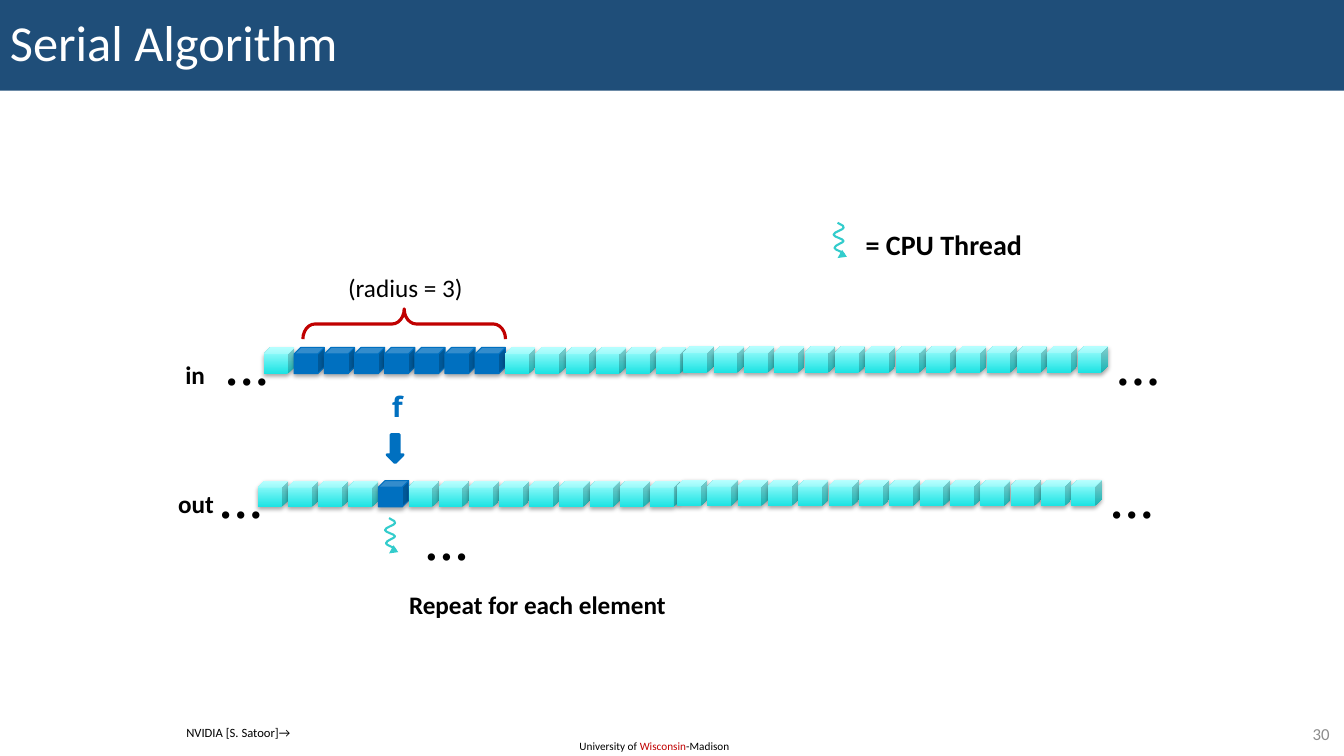
from lxml import etree
from pptx import Presentation
from pptx.dml.color import RGBColor
from pptx.enum import shapes, text
from pptx.oxml import ns
from pptx.util import Pt

NAVY = RGBColor(0x1F, 0x4E, 0x79)
BLUE = RGBColor(0x00, 0x70, 0xC0)
RED = RGBColor(0xC0, 0x00, 0x00)
TEAL = RGBColor(0x33, 0xCC, 0xCC)
CYAN = RGBColor(0x1C, 0xE3, 0xE3)
PALE_CYAN = RGBColor(0xA7, 0xFF, 0xFF)
GRAY = RGBColor(0x8C, 0x8C, 0x8C)
WHITE = RGBColor(0xFF, 0xFF, 0xFF)
BLACK = RGBColor(0x00, 0x00, 0x00)

CUBE_W, CUBE_H = 21.6, 18.7
HALF_ROW = 14

# Thread squiggle in tenths of a point: start, then three points per Bezier curve
SQUIGGLE_START = (29, 0)
SQUIGGLE_CURVES = [
    (65, 22), (79, 22), (72, 36),
    (72, 50), (0, 65), (0, 86),
    (0, 101), (72, 115), (72, 130),
    (72, 144), (7, 158), (7, 180),
    (7, 194), (72, 209), (72, 223),
    (79, 238), (58, 245), (29, 252),
]


class SlideBuilder:
    font = "Calibri"

    def __init__(self, slide):
        self.slide = slide

    def add_runs(self, frame, runs, size, font=None, bold=False, align=None):
        """Fill the frame's first paragraph with (wording, colour) runs."""
        paragraph = frame.paragraphs[0]
        paragraph.alignment = align
        for wording, color in runs:
            run = paragraph.add_run()
            run.text = wording
            run.font.name = font or self.font
            run.font.size = Pt(size)
            run.font.bold = bold
            run.font.color.rgb = color
        return paragraph

    def label(self, box, runs, size, wrap=True, grow=True, **style):
        frame = self.slide.shapes.add_textbox(*map(Pt, box)).text_frame
        frame.word_wrap = wrap
        if grow:
            frame.auto_size = text.MSO_AUTO_SIZE.SHAPE_TO_FIT_TEXT
        else:
            frame.vertical_anchor = text.MSO_ANCHOR.MIDDLE
        self.add_runs(frame, runs, size, **style)

    def ellipsis(self, left, top):
        self.label((left, top, 43.2, 46), [("…", BLACK)], 32,
                   font="Times New Roman", bold=True)

    def preset(self, kind, box, fill=None, line=None, line_width=0.75):
        shape = self.slide.shapes.add_shape(kind, *map(Pt, box))
        shape.shadow.inherit = False
        if fill is None:
            shape.fill.background()
        else:
            shape.fill.solid()
            shape.fill.fore_color.rgb = fill
        if line is None:
            shape.line.fill.background()
        else:
            shape.line.color.rgb = line
            shape.line.width = Pt(line_width)
        return shape

    def title_bar(self, wording):
        bar = self.preset(shapes.MSO_SHAPE.RECTANGLE, (0, 0, 960, 64.8), NAVY)
        bar.text_frame.vertical_anchor = text.MSO_ANCHOR.MIDDLE
        paragraph = self.add_runs(bar.text_frame, [(wording, WHITE)], 36,
                                  align=text.PP_ALIGN.LEFT)
        paragraph.line_spacing = 0.9

    def cube(self, left, top, active):
        color = BLUE if active else None
        cube = self.preset(shapes.MSO_SHAPE.CUBE, (left, top, CUBE_W, CUBE_H), color, color)
        if not active:
            cube.fill.gradient()
            cube.fill.gradient_angle = 90
            for stop, shade in zip(cube.fill.gradient_stops, (CYAN, PALE_CYAN)):
                stop.color.rgb = shade
        effects = cube.element.spPr.find(ns.qn("a:effectLst"))
        shadow = etree.SubElement(effects, ns.qn("a:outerShdw"), blurRad=str(Pt(3.1)),
                                  dist=str(Pt(1.8)), dir="5400000", rotWithShape="0")
        black = etree.SubElement(shadow, ns.qn("a:srgbClr"), val=str(BLACK))
        etree.SubElement(black, ns.qn("a:alpha"), val="35000")

    def array(self, left, top, active):
        """Draw one array as two runs of cubes, with an ellipsis at both ends."""
        for start, rise, pitch, first in ((0, 0, 21.54, 0), (299.5, 0.7, 21.66, HALF_ROW)):
            for i in range(HALF_ROW):
                self.cube(left + start + i * pitch, top - rise, first + i in active)
        for offset in (-35.3, 601.2):
            self.ellipsis(left + offset, top - 8.3)

    def thread(self, left, top):
        builder = self.slide.shapes.build_freeform(*SQUIGGLE_START, scale=Pt(0.1))
        builder.add_line_segments(SQUIGGLE_CURVES, close=False)
        squiggle = builder.convert_to_shape(Pt(left), Pt(top))
        squiggle.shadow.inherit = False
        squiggle.fill.background()
        squiggle.line.color.rgb = TEAL
        squiggle.line.width = Pt(1.5)
        properties = squiggle.element.spPr
        etree.SubElement(properties.find(ns.qn("a:ln")), ns.qn("a:tailEnd"), type="triangle")
        # Turn every three straight segments into one cubic curve
        segments = list(properties.iter(ns.qn("a:lnTo")))
        outline = segments[0].getparent()
        for i in range(0, len(segments), 3):
            curve = etree.SubElement(outline, ns.qn("a:cubicBezTo"))
            for segment in segments[i:i + 3]:
                curve.append(segment[0])
                outline.remove(segment)


def main():
    deck = Presentation()
    deck.slide_width, deck.slide_height = Pt(960), Pt(540)
    page = SlideBuilder(deck.slides.add_slide(deck.slide_layouts[6]))

    page.label((406.8, 524.2, 123.8, 17),
               [("University of ", BLACK), ("Wisconsin", RED), ("-Madison", BLACK)], 8)
    page.title_bar("Serial Algorithm")
    page.label((902.2, 513.4, 54.7, 20.9), [("30", GRAY)], 12, grow=False,
               align=text.PP_ALIGN.RIGHT)

    page.array(188.6, 248.2, active=range(1, 8))
    page.array(184.2, 343.4, active=[4])
    page.label((125.3, 253.4, 41.8, 29), [("in", BLACK)], 18, bold=True)
    page.label((120.2, 344.9, 41.8, 29), [("out", BLACK)], 18, bold=True)

    page.thread(275, 370.1)
    page.thread(595.4, 159.1)
    page.label((611.3, 159.1, 147.6, 31.5), [("= CPU Thread", BLACK)], 20, bold=True)

    brace = page.preset(shapes.MSO_SHAPE.LEFT_BRACE, (277.9, 159.1, 21.6, 144.7),
                        line=RED, line_width=2.25)
    brace.adjustments[0] = 0.4
    brace.rotation = 90
    page.label((239.8, 190.8, 99.4, 29), [("(radius = 3)", BLACK)], 18, wrap=False,
               align=text.PP_ALIGN.CENTER)
    page.preset(shapes.MSO_SHAPE.DOWN_ARROW, (276.5, 310.3, 11.5, 20.2), BLUE, BLUE, 2)
    page.label((272.9, 275, 23, 31.5), [("f", BLUE)], 20, wrap=False,
               font="Open Sans", bold=True)

    page.label((285.1, 417.6, 300.2, 29), [("Repeat for each element", BLACK)], 18, bold=True)
    page.ellipsis(295.9, 365)
    page.label((126, 514.1, 88.6, 18), [("NVIDIA [S. Satoor]→", BLACK)], 9, wrap=False)

    deck.save("out.pptx")


if __name__ == "__main__":
    main()
